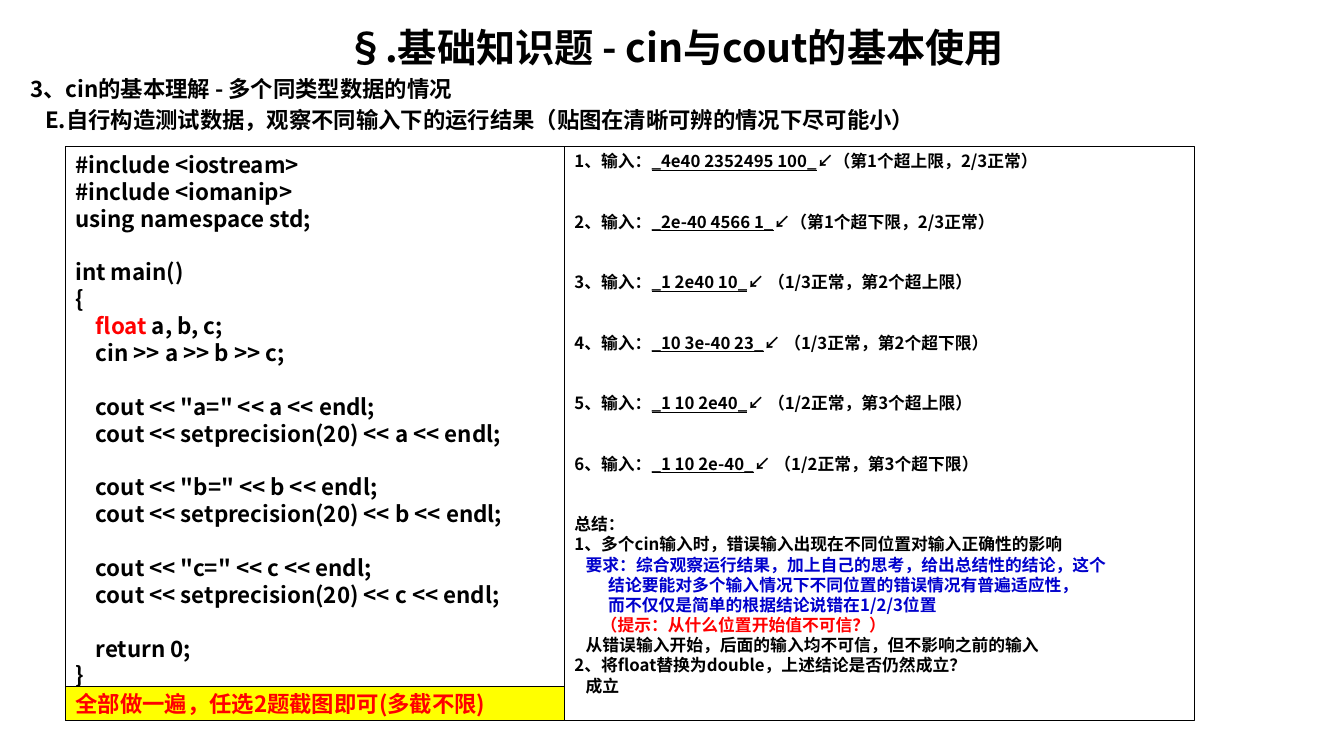
from lxml import etree
from pptx import Presentation
from pptx.dml.color import RGBColor
from pptx.enum.shapes import MSO_SHAPE
from pptx.enum.text import MSO_ANCHOR, PP_ALIGN
from pptx.oxml.ns import qn
from pptx.util import Pt

RECTANGLE = MSO_SHAPE.RECTANGLE
TOP, MIDDLE = MSO_ANCHOR.TOP, MSO_ANCHOR.MIDDLE
LEFT, CENTER = PP_ALIGN.LEFT, PP_ALIGN.CENTER

FONT = "Noto Sans CJK SC"
COLORS = {"black": "000000", "red": "FF0000", "blue": "0000CC", "yellow": "FFFF00"}
LINE_RATIO = 1.2    # line pitch relative to the text size
SPACE_RATIO = 0.224  # width of one space relative to the text size

# Panel edges in points
PANEL_TOP, PANEL_HEIGHT = 104.4, 410.4
CODE_LEFT, CODE_WIDTH = 46.8, 356.4
TASK_WIDTH = 450
BANNER_HEIGHT = 24.5

CODE = """#include <iostream>
#include <iomanip>
using namespace std;

int main()
{
    float a, b, c;
    cin >> a >> b >> c;

    cout << "a=" << a << endl;
    cout << setprecision(20) << a << endl;

    cout << "b=" << b << endl;
    cout << setprecision(20) << b << endl;

    cout << "c=" << c << endl;
    cout << setprecision(20) << c << endl;

    return 0;
}"""

INPUTS = [
    ("_4e40 2352495 100_", "↙（第1个超上限，2/3正常）"),
    ("_2e-40 4566 1_", "↙（第1个超下限，2/3正常）"),
    ("_1 2e40 10_", "↙ （1/3正常，第2个超上限）"),
    ("_10 3e-40 23_", "↙ （1/3正常，第2个超下限）"),
    ("_1 10 2e40_", "↙ （1/2正常，第3个超上限）"),
    ("_1 10 2e-40_", "↙ （1/2正常，第3个超下限）"),
]

# Text, indent in spaces, colour
SUMMARY = [
    ("1、多个cin输入时，错误输入出现在不同位置对输入正确性的影响", 0, "black"),
    ("要求：综合观察运行结果，加上自己的思考，给出总结性的结论，这个", 3, "blue"),
    ("结论要能对多个输入情况下不同位置的错误情况有普遍适应性，", 9, "blue"),
    ("而不仅仅是简单的根据结论说错在1/2/3位置", 9, "blue"),
    ("（提示：从什么位置开始值不可信？）", 7, "red"),
    ("从错误输入开始，后面的输入均不可信，但不影响之前的输入", 3, "black"),
    ("2、将float替换为double，上述结论是否仍然成立？", 0, "black"),
    ("成立", 3, "black"),
]


def add_run(paragraph, text, size=16, color="black", underline=False):
    run = paragraph.add_run()
    run.text = text
    font = run.font
    font.size, font.bold, font.name = Pt(size), True, FONT
    font.color.rgb = RGBColor.from_string(COLORS[color])
    if underline:
        font.underline = True
    etree.SubElement(run._r.get_or_add_rPr(), qn("a:ea")).set("typeface", FONT)


def add_paragraph(frame, text="", size=16, color="black", align=LEFT, before=0, spaces=0):
    """Fill the empty first paragraph, or append a new one."""
    first = frame.paragraphs[0]
    paragraph = frame.add_paragraph() if first.runs else first
    paragraph.alignment = align
    paragraph.line_spacing = Pt(size * LINE_RATIO)
    if before:
        paragraph.space_before = Pt(before)
    if spaces:
        properties = paragraph._p.get_or_add_pPr()
        properties.set("marL", str(Pt(spaces * SPACE_RATIO * size)))
        properties.set("indent", "0")
    if text:
        add_run(paragraph, text, size=size, color=color)
    return paragraph


def add_panel(slide, left, top, width, height, fill=None, anchor=TOP):
    panel = slide.shapes.add_shape(RECTANGLE, Pt(left), Pt(top), Pt(width), Pt(height))
    panel.shadow.inherit = False
    if fill:
        panel.fill.solid()
        panel.fill.fore_color.rgb = RGBColor.from_string(COLORS[fill])
    else:
        panel.fill.background()
    panel.line.color.rgb = RGBColor.from_string(COLORS["black"])
    panel.line.width = Pt(0.75)
    frame = panel.text_frame
    frame.word_wrap = True
    frame.vertical_anchor = anchor
    return frame


def add_headings(slide):
    box = slide.shapes.add_textbox(Pt(14.4), Pt(13), Pt(935.3), Pt(90))
    frame = box.text_frame
    frame.word_wrap = True
    add_paragraph(frame, "§.基础知识题 - cin与cout的基本使用", size=28, align=CENTER)
    add_paragraph(frame, "3、cin的基本理解 - 多个同类型数据的情况", before=3.2)
    add_paragraph(frame, "E.自行构造测试数据，观察不同输入下的运行结果（贴图在清晰可辨的情况下尽可能小）",
                  before=3.2, spaces=3)


def add_code(frame, code, size=16, keyword="float"):
    gap = 0
    for line in code.split("\n"):
        if not line:
            gap = size * LINE_RATIO
            continue
        paragraph = add_paragraph(frame, size=size, before=gap)
        gap = 0
        head, found, tail = line.partition(keyword)
        add_run(paragraph, head, size=size)
        if found:
            add_run(paragraph, found, size=size, color="red")
            add_run(paragraph, tail, size=size)


def add_tasks(frame, size=12):
    gap = 2 * size * LINE_RATIO  # room for a result below each input
    for number, (typed, remark) in enumerate(INPUTS, start=1):
        paragraph = add_paragraph(frame, f"{number}、输入：", size=size,
                                  before=gap if number > 1 else 0)
        add_run(paragraph, typed, size=size, underline=True)
        add_run(paragraph, remark, size=size)
    add_paragraph(frame, "总结：", size=size, before=gap)
    for text, spaces, color in SUMMARY:
        add_paragraph(frame, text, size=size, color=color, spaces=spaces)


def main():
    presentation = Presentation()
    presentation.slide_width, presentation.slide_height = Pt(960), Pt(540)
    slide = presentation.slides.add_slide(presentation.slide_layouts[6])

    add_headings(slide)

    # Program on the left, inputs and summary on the right
    add_code(add_panel(slide, CODE_LEFT, PANEL_TOP, CODE_WIDTH, PANEL_HEIGHT), CODE)
    add_tasks(add_panel(slide, CODE_LEFT + CODE_WIDTH, PANEL_TOP, TASK_WIDTH, PANEL_HEIGHT))

    # Banner along the bottom of the program
    banner_top = PANEL_TOP + PANEL_HEIGHT - BANNER_HEIGHT
    banner = add_panel(slide, CODE_LEFT, banner_top, CODE_WIDTH, BANNER_HEIGHT,
                       fill="yellow", anchor=MIDDLE)
    add_paragraph(banner, "全部做一遍，任选2题截图即可(多截不限)", color="red")

    presentation.save("out.pptx")


if __name__ == "__main__":
    main()
